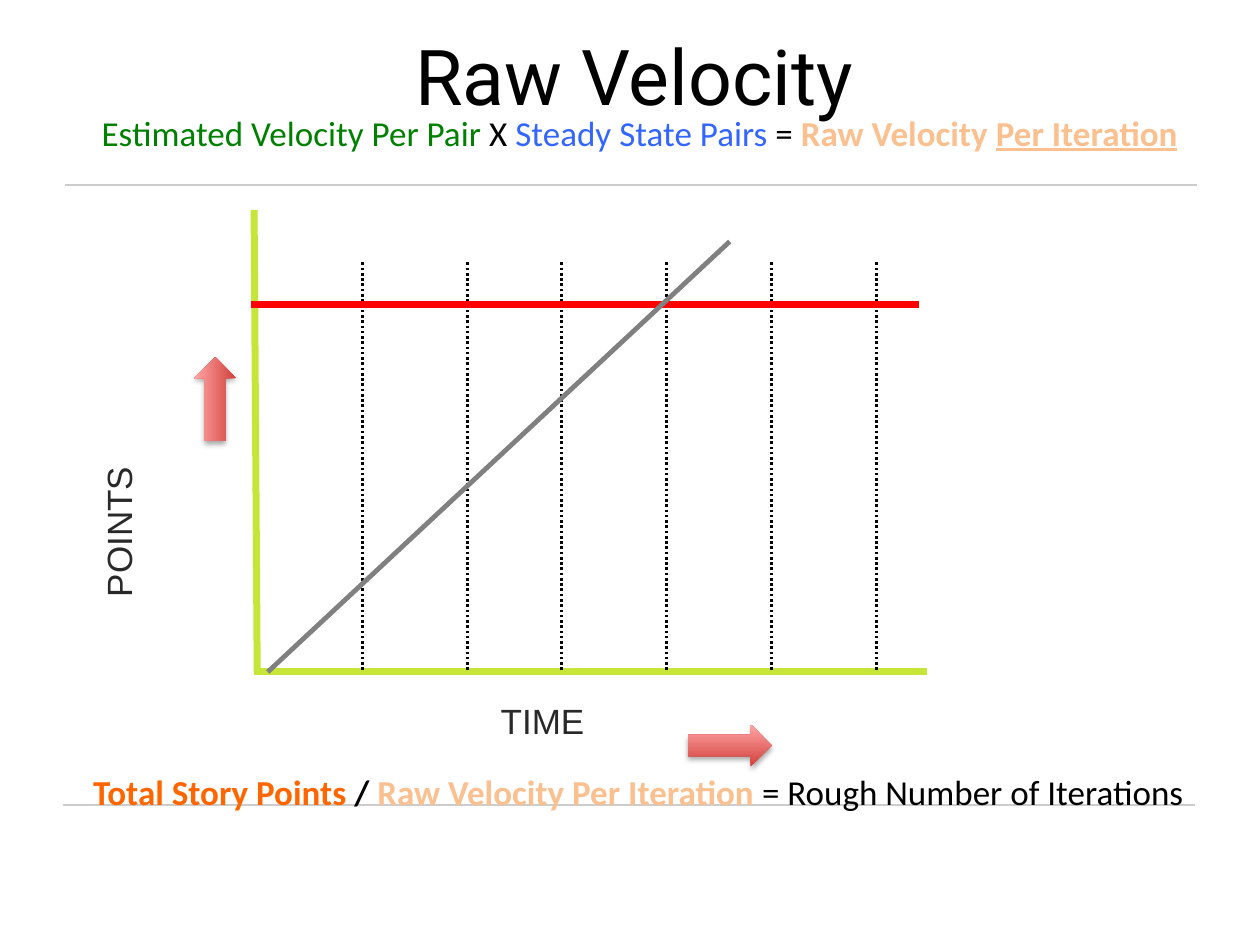
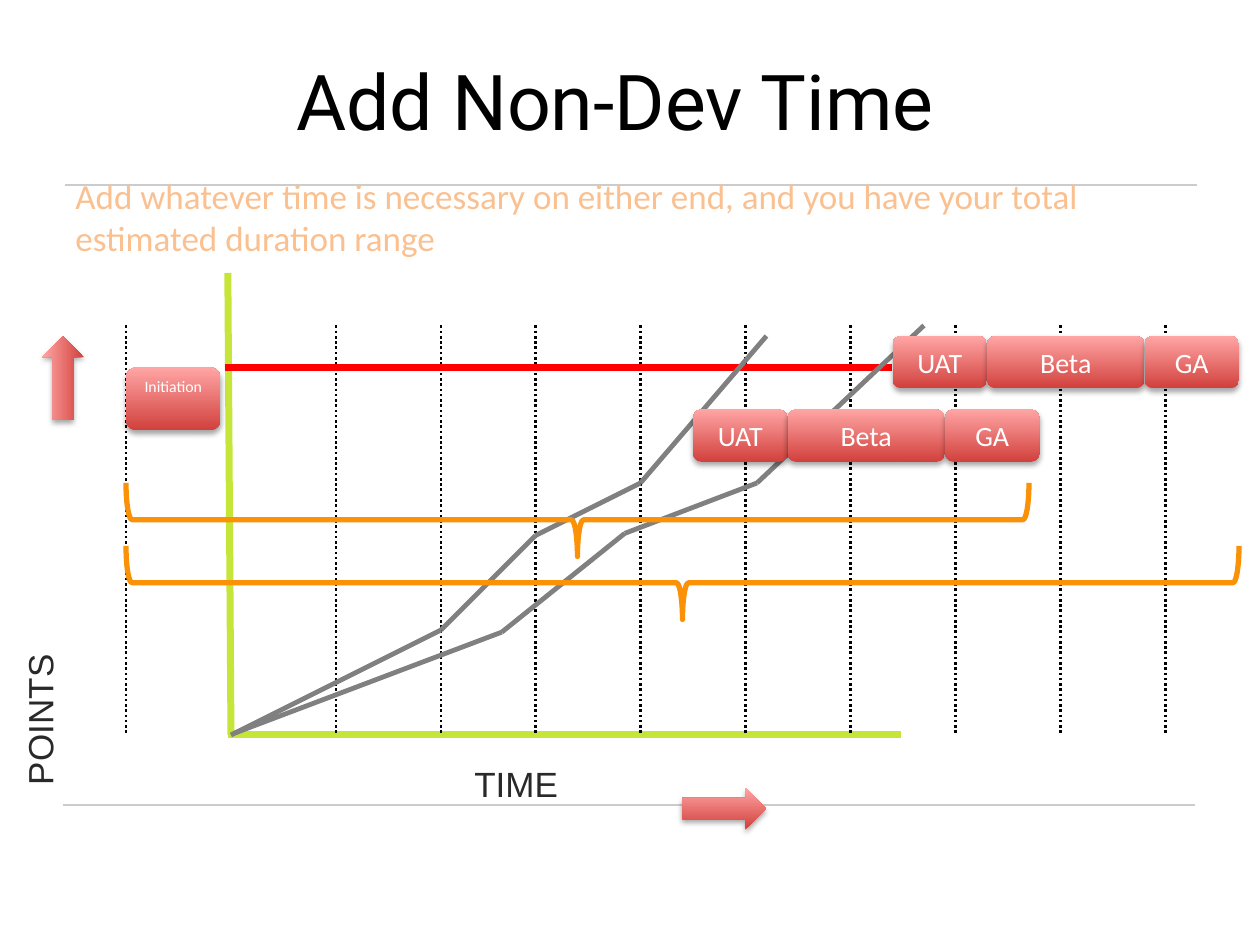
from itertools import pairwise

from lxml.etree import SubElement
from pptx import Presentation
from pptx.dml.color import RGBColor
from pptx.enum.dml import MSO_LINE
from pptx.enum.shapes import MSO_CONNECTOR, MSO_SHAPE
from pptx.enum.text import MSO_ANCHOR, PP_ALIGN
from pptx.oxml.ns import qn
from pptx.util import Inches, Pt

COLUMNS_PER_INCH = 12  # the slide is a grid of 120 columns by 90 rows

BLACK, WHITE, INK = "000000", "FFFFFF", "292929"
RULE, AXIS, SCOPE, PACE = "CCCCCC", "C6E539", "FF0000", "808080"
GREEN, BLUE, PEACH, ORANGE, BRACE = "008000", "3366FF", "FAC090", "FF6600", "FA9106"
RED_DARK, RED_LIGHT = "D1403C", "FFA6A5"

ITERATIONS = [32, 42, 51, 61, 71, 81]
CHART_TOP, CHART_BOTTOM, SCOPE_ROW = 31, 70, 35
PHASES = [("UAT", 9), ("Beta", 15), ("GA", 9)]


def color(hex_string):
    return RGBColor.from_string(hex_string)


def grid(*cells):
    return [Inches(cell / COLUMNS_PER_INCH) for cell in cells]


class Page:
    """One slide with the deck's style, measured in grid columns and rows."""

    def __init__(self, deck):
        self.slide = deck.slides.add_slide(deck.slide_layouts[6])
        self.shapes = self.slide.shapes
        self.line((6, 76.7), (113.8, 76.7), RULE, 1)
        self.line((6.2, 17.6), (114, 17.6), RULE, 1)

    def line(self, start, end, hex_string, width, dash=None):
        connector = self.shapes.add_connector(MSO_CONNECTOR.STRAIGHT, *grid(*start, *end))
        connector.line.color.rgb = color(hex_string)
        connector.line.width = Pt(width)
        if dash:
            connector.line.dash_style = dash
        SubElement(connector._element.spPr, qn("a:effectLst"))

    def polyline(self, points):
        for start, end in pairwise(points):
            self.line(start, end, PACE, 2.75)

    def text(self, place, spans, size=20, font="Calibri", align=PP_ALIGN.LEFT,
             anchor=MSO_ANCHOR.TOP, turn=0, inset=None):
        """Add a text box; each span is (text, colour, font settings)."""
        box = self.shapes.add_textbox(*grid(*place))
        box.rotation = turn
        frame = box.text_frame
        frame.word_wrap = True
        frame.vertical_anchor = anchor
        if inset is not None:
            frame.margin_left = frame.margin_right = Inches(inset)
            frame.margin_top = frame.margin_bottom = Inches(inset)
        para = frame.paragraphs[0]
        para.alignment = align
        para.font.size, para.font.name = Pt(size), font
        for words, hex_string, *settings in spans:
            span = para.add_run()
            span.text = words
            span.font.color.rgb = color(hex_string)
            span.font.bold = "bold" in settings
            if "underline" in settings:
                span.font.underline = True

    def title(self, place, words):
        self.text(place, [(words, BLACK)], 44, "Roboto", PP_ALIGN.CENTER, MSO_ANCHOR.MIDDLE)

    def axis_label(self, place, words, turn=0):
        self.text(place, [(words, INK)], font="Arial", turn=turn)

    def red_shape(self, kind, place, turn=0):
        """Add a shape with the red gradient and a soft shadow below."""
        shape = self.shapes.add_shape(kind, *grid(*place))
        shape.rotation = turn
        shape.line.fill.background()
        shape.fill.gradient()
        shape.fill.gradient_angle = 90
        for stop, hex_string in zip(shape.fill.gradient_stops, (RED_DARK, RED_LIGHT)):
            stop.color.rgb = color(hex_string)
        shape.shadow.inherit = False
        effects = shape._element.spPr.find(qn("a:effectLst"))
        shadow = SubElement(effects, qn("a:outerShdw"), blurRad="40000", dist="23000",
                            dir="5400000", rotWithShape="0")
        shade = SubElement(shadow, qn("a:srgbClr"), val=BLACK)
        SubElement(shade, qn("a:alpha"), val="35000")
        return shape

    def arrow(self, left, top, turn=0):
        self.red_shape(MSO_SHAPE.RIGHT_ARROW, (left, top, 8, 4), turn)

    def phase(self, place, words, size=16, anchor=MSO_ANCHOR.MIDDLE):
        frame = self.red_shape(MSO_SHAPE.ROUNDED_RECTANGLE, place).text_frame
        frame.word_wrap = True
        frame.vertical_anchor = anchor
        para = frame.paragraphs[0]
        para.alignment = PP_ALIGN.CENTER
        span = para.add_run()
        span.text = words
        para.font.size, para.font.name = Pt(size), "Calibri"
        span.font.color.rgb = color(WHITE)

    def release(self, left, top):
        """Lay the closing phases end to end."""
        for words, width in PHASES:
            self.phase((left, top, width, 5), words)
            left += width

    def brace(self, left, top, width, height=7):
        """Add a brace that opens upward over the given span."""
        place = (left + (width - height) / 2, top + (height - width) / 2, height, width)
        shape = self.shapes.add_shape(MSO_SHAPE.LEFT_BRACE, *grid(*place))
        shape.rotation = 270
        shape.fill.background()
        shape.line.color.rgb = color(BRACE)
        shape.line.width = Pt(3)
        shape.shadow.inherit = False

    def velocity_chart(self, iterations, right=0, up=0):
        """Draw axes, iteration marks and the scope line, moved by an offset."""
        def at(column, row):
            return column + right, row - up

        self.line(at(21.7, 26), at(22, CHART_BOTTOM), AXIS, 4)
        self.line(at(85.8, CHART_BOTTOM), at(21.7, CHART_BOTTOM), AXIS, 4)
        for column in iterations:
            self.line(at(column, CHART_TOP), at(column, CHART_BOTTOM), BLACK, 1.5,
                      MSO_LINE.ROUND_DOT)
        self.line(at(21.4, SCOPE_ROW), at(85, SCOPE_ROW), SCOPE, 3.75)
        self.axis_label((*at(44, 72), 21, 5.3), "TIME")


def raw_velocity(deck):
    page = Page(deck)
    page.title((5.2, 1.6, 110.4, 11), "Raw Velocity")
    page.text((8.5, 10, 111, 9), [
        ("Estimated Velocity Per Pair", GREEN), (" X ", BLACK),
        ("Steady State Pairs", BLUE), (" = ", BLACK),
        ("Raw Velocity ", PEACH, "bold"), ("Per Iteration", PEACH, "bold", "underline")])
    page.velocity_chart(ITERATIONS, right=2.5, up=6)
    page.axis_label((-1.5, 38.2, 30, 9.7), "POINTS", turn=270)
    page.arrow(65.5, 69)
    page.arrow(16.5, 36, turn=270)
    page.polyline([(25.5, 64), (69.5, 23)])
    page.text((8.5, 73, 111, 8), [
        ("Total Story Points ", ORANGE, "bold"), ("/ ", BLACK, "bold"),
        ("Raw Velocity Per Iteration ", PEACH, "bold"),
        ("= Rough Number of Iterations", BLACK)], inset=0.03)


def non_dev_time(deck):
    page = Page(deck)
    page.title((2, 4, 113.2, 11), "Add Non-Dev Time")
    page.text((6, 16, 111, 9), [(
        "Add whatever time is necessary on either end, and you have your total "
        "estimated duration range", PEACH)])
    page.velocity_chart([12, *ITERATIONS, 91, 101, 111])
    page.axis_label((-8, 57.1, 28, 9.7), "POINTS", turn=270)
    page.arrow(65, 75)
    page.arrow(2, 34, turn=270)
    page.polyline([(22, 70), (42, 60), (51, 51), (61, 46), (73, 32)])
    page.polyline([(22.4, 69.8), (47.8, 60.2), (59.5, 50.8), (72.1, 46), (88, 31)])
    page.phase((12, 35, 9, 6), "Initiation", 9, MSO_ANCHOR.TOP)
    page.release(66, 39)
    page.release(85, 32)
    page.brace(12, 46, 86)
    page.brace(12, 52, 106)


def main():
    deck = Presentation()
    deck.slide_width, deck.slide_height = grid(120, 90)
    raw_velocity(deck)
    non_dev_time(deck)
    deck.save("out.pptx")


if __name__ == "__main__":
    main()
